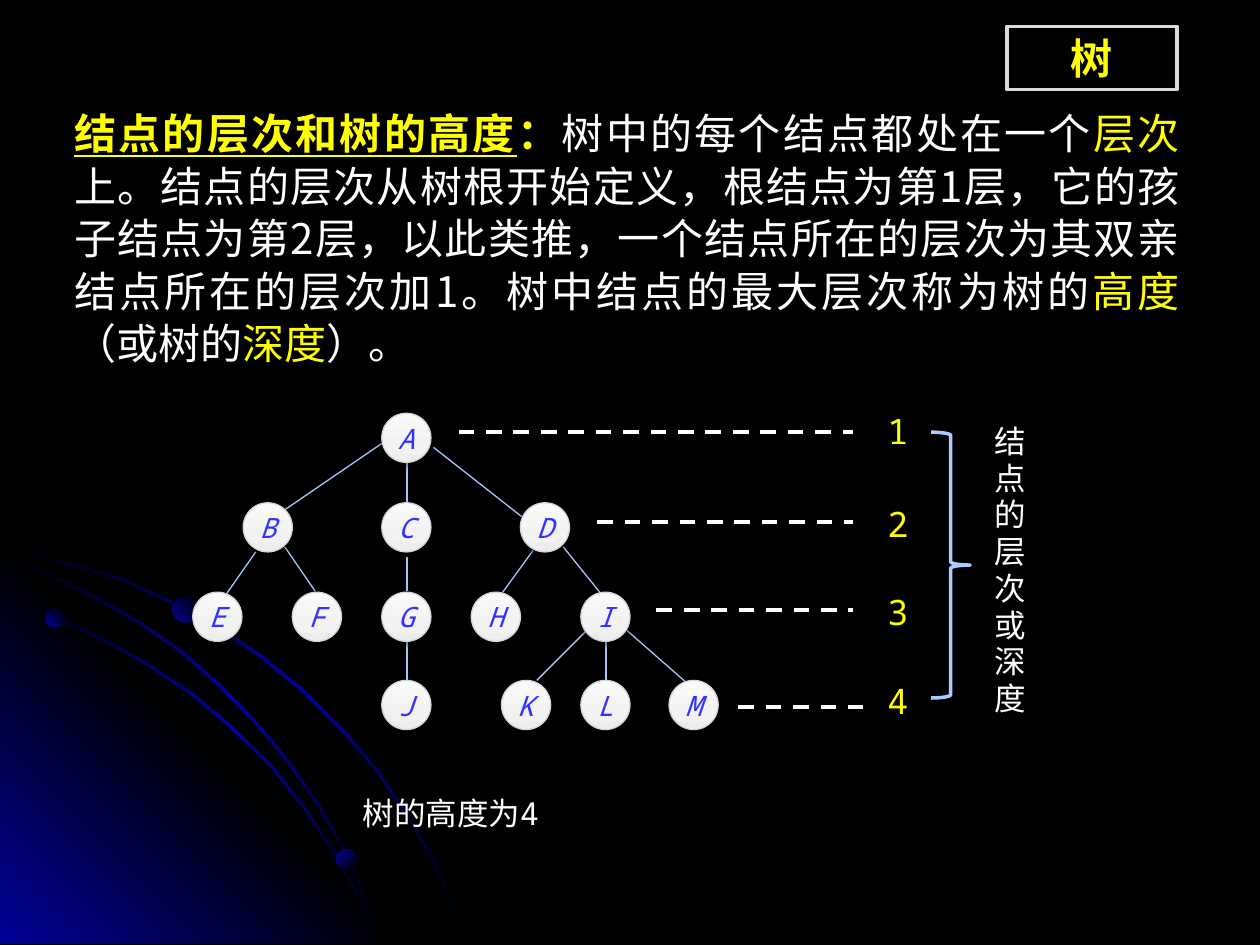
from dataclasses import dataclass
from typing import NamedTuple

from lxml import etree
from pptx import Presentation
from pptx.dml.color import RGBColor
from pptx.enum.dml import MSO_LINE
from pptx.enum.shapes import MSO_CONNECTOR as Connector, MSO_SHAPE as Preset
from pptx.enum.text import MSO_ANCHOR as Anchor, MSO_AUTO_SIZE as AutoSize, PP_ALIGN as Align
from pptx.oxml.ns import qn
from pptx.util import Inches, Pt

SANS, MONO, SERIF = "Noto Sans CJK SC", "Noto Sans Mono", "Times New Roman"
BLACK, BLUE, WHITE, YELLOW = "000000", "010199", "FFFFFF", "FFFF00"
BRANCH, BRACE = "A7C5FB", "ADCAFF"
NODE_SIZE = 0.39
ROW_TOPS = (3.28, 3.99, 4.7, 5.4)
GLOW = ((0, BLACK), (50, BLUE), (100, BLACK))
CORNER_GLOW = ((0, BLUE), (50, BLACK), (100, BLUE))
DOT_GLOW = ((0, BLUE), (100, BLACK))
NODE_FILL = ((0, "EDEDED"), (35, "F2F2F2"), (100, "FAFAFA"))


@dataclass
class Level:
    number: str
    label_top: float
    start: float
    end: float
    line_y: float


@dataclass
class Node:
    letter: str
    left: float
    row: int


class Edge(NamedTuple):
    x1: float
    y1: float
    x2: float
    y2: float


class Dot(NamedTuple):
    left: float
    top: float
    size: float
    angle: int


ARCS = (
    ((0, 4.35), (0.28, 4.41), (0.57, 4.47), (0.98, 4.59), (1.36, 4.77), (1.74, 4.97),
     (2.09, 5.21), (2.42, 5.48), (2.72, 5.78), (3, 6.11), (3.25, 6.48), (3.39, 6.73),
     (3.52, 6.98), (3.62, 7.23), (3.72, 7.49)),
    ((0, 4.75), (0.41, 4.88), (0.79, 5.05), (1.17, 5.26), (1.52, 5.49), (1.84, 5.76),
     (2.15, 6.06), (2.42, 6.4), (2.66, 6.76), (2.86, 7.12), (2.96, 7.3), (3.03, 7.49)),
    ((0, 4.42), (0.39, 4.55), (0.76, 4.73), (1.11, 4.93), (1.44, 5.16), (1.75, 5.43),
     (2.04, 5.73), (2.29, 6.03), (2.54, 6.39), (2.69, 6.65), (2.82, 6.93), (2.94, 7.2),
     (3.03, 7.49)),
)
CORNER = ((0, 4.27), (3.22, 7.49), (0, 7.49))
DOTS = (Dot(0.36, 4.83, 0.15, 315), Dot(2.67, 6.74, 0.16, 45), Dot(1.37, 4.73, 0.21, 315))
NODES = (
    Node("A", 3.03, 0), Node("B", 1.93, 1), Node("C", 3.03, 1), Node("D", 4.13, 1),
    Node("E", 1.53, 2), Node("F", 2.32, 2), Node("G", 3.03, 2), Node("H", 3.74, 2),
    Node("I", 4.61, 2), Node("J", 3.03, 3), Node("K", 3.98, 3), Node("L", 4.61, 3),
    Node("M", 5.31, 3),
)
EDGES = (
    Edge(3.03, 3.52, 2.24, 4.06), Edge(3.23, 3.67, 3.23, 3.99), Edge(3.44, 3.55, 4.14, 4.1),
    Edge(2.03, 4.38, 1.8, 4.71), Edge(2.26, 4.34, 2.5, 4.69), Edge(3.23, 4.42, 3.23, 4.69),
    Edge(4.23, 4.37, 3.99, 4.7), Edge(4.47, 4.34, 4.76, 4.7), Edge(3.23, 5.09, 3.23, 5.4),
    Edge(4.65, 5.01, 4.26, 5.4), Edge(4.81, 5.09, 4.81, 5.4), Edge(4.96, 4.99, 5.45, 5.42),
)
LEVELS = (
    Level("1", 3.2, 3.64, 6.77, 3.43), Level("2", 3.94, 4.74, 6.77, 4.14),
    Level("3", 4.64, 5.21, 6.77, 4.84), Level("4", 5.34, 5.86, 6.85, 5.61),
)
DEFINITION = (
    ("结点的层次和树的高度", YELLOW, {"bold": True, "underline": True}),
    ("：", YELLOW, {"bold": True}),
    ("树中的每个结点都处在一个", WHITE, {}),
    ("层次", YELLOW, {}),
    ("上。结点的层次从树根开始定义，根结点为第1层，它的孩子结点为第2层，以此类推，"
     "一个结点所在的层次为其双亲结点所在的层次加1。树中结点的最大层次称为树的", WHITE, {}),
    ("高度", YELLOW, {}),
    ("（或树的", WHITE, {}),
    ("深度", YELLOW, {}),
    ("）。", WHITE, {}),
)


def color(hex_value: str) -> RGBColor:
    return RGBColor.from_string(hex_value)


def apply(target, values: dict) -> None:
    for attribute, value in values.items():
        setattr(target, attribute, value)


def add_run(paragraph, text: str, tint: str, size: float, face: str, **style):
    run = paragraph.add_run()
    run.text = text
    apply(run.font, {"size": Pt(size), "name": face, "bold": False, **style})
    run.font.color.rgb = color(tint)
    etree.SubElement(run.font._element, qn("a:ea"), typeface=SANS)
    return run


def fill_gradient(shape, stops: tuple, angle: int) -> None:
    shape.fill.background()
    gradient = etree.Element(qn("a:gradFill"), rotWithShape="1")
    stop_list = etree.SubElement(gradient, qn("a:gsLst"))
    for position, tint in stops:
        stop = etree.SubElement(stop_list, qn("a:gs"), pos=str(position * 1000))
        etree.SubElement(stop, qn("a:srgbClr"), val=tint)
    etree.SubElement(gradient, qn("a:lin"), ang=str(angle * 60000), scaled="0")
    properties = shape._element.spPr
    properties.replace(properties.find(qn("a:noFill")), gradient)


def set_outline(shape, tint: str, width: float) -> None:
    shape.line.color.rgb = color(tint)
    shape.line.width = Pt(width)


def add_soft_shadow(shape) -> None:
    effects = shape._element.spPr.find(qn("a:effectLst"))
    shadow = etree.SubElement(effects, qn("a:outerShdw"), blurRad=str(Pt(3.1)),
                              dist=str(Pt(1.6)), dir="5400000", rotWithShape="0")
    tint = etree.SubElement(shadow, qn("a:srgbClr"), val=BLACK)
    etree.SubElement(tint, qn("a:alpha"), val="38000")


def add_preset(shapes, preset, left: float, top: float, width: float, height: float):
    shape = shapes.add_shape(preset, *map(Inches, (left, top, width, height)))
    shape.shadow.inherit = False
    return shape


def add_glow_outline(shapes, points, stops: tuple, angle: int) -> None:
    start, *rest = [(Inches(x), Inches(y)) for x, y in points]
    builder = shapes.build_freeform(*start)
    builder.add_line_segments(rest, close=True)
    outline = builder.convert_to_shape()
    outline.shadow.inherit = False
    outline.line.fill.background()
    fill_gradient(outline, stops, angle)


def add_arc(shapes, upper: tuple) -> None:
    lower = [(max(x - 0.01, 0), min(y + 0.02, 7.49)) for x, y in reversed(upper)]
    add_glow_outline(shapes, [*upper, *lower], GLOW, 45)


def add_line(shapes, edge: Edge, tint: str, width: float, dash=None) -> None:
    line = shapes.add_connector(Connector.STRAIGHT, *map(Inches, edge))
    set_outline(line, tint, width)
    line.line.dash_style = dash
    etree.SubElement(line._element.spPr, qn("a:effectLst"))


def add_text(shapes, left: float, top: float, width: float, height: float, align=Align.LEFT):
    box = shapes.add_textbox(*map(Inches, (left, top, width, height)))
    apply(box.text_frame, {"word_wrap": True, "auto_size": AutoSize.SHAPE_TO_FIT_TEXT})
    paragraph = box.text_frame.paragraphs[0]
    paragraph.alignment = align
    return box, paragraph


def add_node(shapes, node: Node) -> None:
    circle = add_preset(shapes, Preset.OVAL, node.left, ROW_TOPS[node.row],
                        NODE_SIZE, NODE_SIZE)
    fill_gradient(circle, NODE_FILL, 270)
    set_outline(circle, "D5D5D5", 0.75)
    add_soft_shadow(circle)
    apply(circle.text_frame, {"word_wrap": False, "vertical_anchor": Anchor.MIDDLE})
    paragraph = circle.text_frame.paragraphs[0]
    paragraph.alignment = Align.CENTER
    add_run(paragraph, node.letter, "3333FF", 16, MONO, italic=True)


def add_level(shapes, level: Level) -> None:
    _, paragraph = add_text(shapes, 6.93, level.label_top, 0.39, 0.43, Align.CENTER)
    add_run(paragraph, level.number, YELLOW, 20, MONO)
    guide = Edge(level.start, level.line_y, level.end, level.line_y)
    add_line(shapes, guide, WHITE, 2.25, MSO_LINE.DASH)


def add_backdrop(shapes) -> None:
    add_glow_outline(shapes, CORNER, CORNER_GLOW, 315)
    for arc in ARCS:
        add_arc(shapes, arc)
    for dot in DOTS:
        bead = add_preset(shapes, Preset.OVAL, dot.left, dot.top, dot.size, dot.size)
        bead.line.fill.background()
        fill_gradient(bead, DOT_GLOW, dot.angle)


def format_title(title) -> None:
    apply(title, {"left": Inches(7.99), "top": Inches(0.21),
                  "width": Inches(1.35), "height": Inches(0.5)})
    set_outline(title, "DADADA", 2)
    apply(title.text_frame, {"vertical_anchor": Anchor.TOP, "word_wrap": True,
                             "auto_size": AutoSize.NONE})
    paragraph = title.text_frame.paragraphs[0]
    paragraph.alignment = Align.CENTER
    add_run(paragraph, "树", YELLOW, 24, SERIF, bold=True)


def add_definition(shapes) -> None:
    _, definition = add_text(shapes, 0.49, 0.79, 8.97, 2.2, Align.JUSTIFY)
    definition.line_spacing = Pt(30)
    definition._p.get_or_add_pPr().set("hangingPunct", "0")
    for text, tint, style in DEFINITION:
        add_run(definition, text, tint, 24, SANS, **style)


def add_depth_caption(shapes) -> None:
    brace = add_preset(shapes, Preset.RIGHT_BRACE, 7.39, 3.43, 0.31, 2.11)
    brace.fill.background()
    set_outline(brace, BRACE, 2)
    add_soft_shadow(brace)
    caption, paragraph = add_text(shapes, 7.71, 3.28, 0.5, 2.54)
    caption.text_frame._txBody.bodyPr.set("vert", "eaVert")
    run = add_run(paragraph, "结点的层次或深度", WHITE, 18, MONO)
    run.font._element.set("spc", "300")


def main() -> None:
    deck = Presentation()
    apply(deck, {"slide_width": Inches(10), "slide_height": Inches(7.5)})
    slide = deck.slides.add_slide(deck.slide_layouts[5])
    slide.background.fill.solid()
    slide.background.fill.fore_color.rgb = color(BLACK)
    shapes = slide.shapes
    add_backdrop(shapes)
    format_title(shapes.title)
    add_definition(shapes)
    for edge in EDGES:
        add_line(shapes, edge, BRANCH, 0.75)
    for node in NODES:
        add_node(shapes, node)
    for level in LEVELS:
        add_level(shapes, level)
    _, height_note = add_text(shapes, 2.78, 6.25, 2.03, 0.4)
    add_run(height_note, "树的高度为4", WHITE, 18, MONO)
    add_depth_caption(shapes)
    deck.save("out.pptx")


if __name__ == "__main__":
    main()
